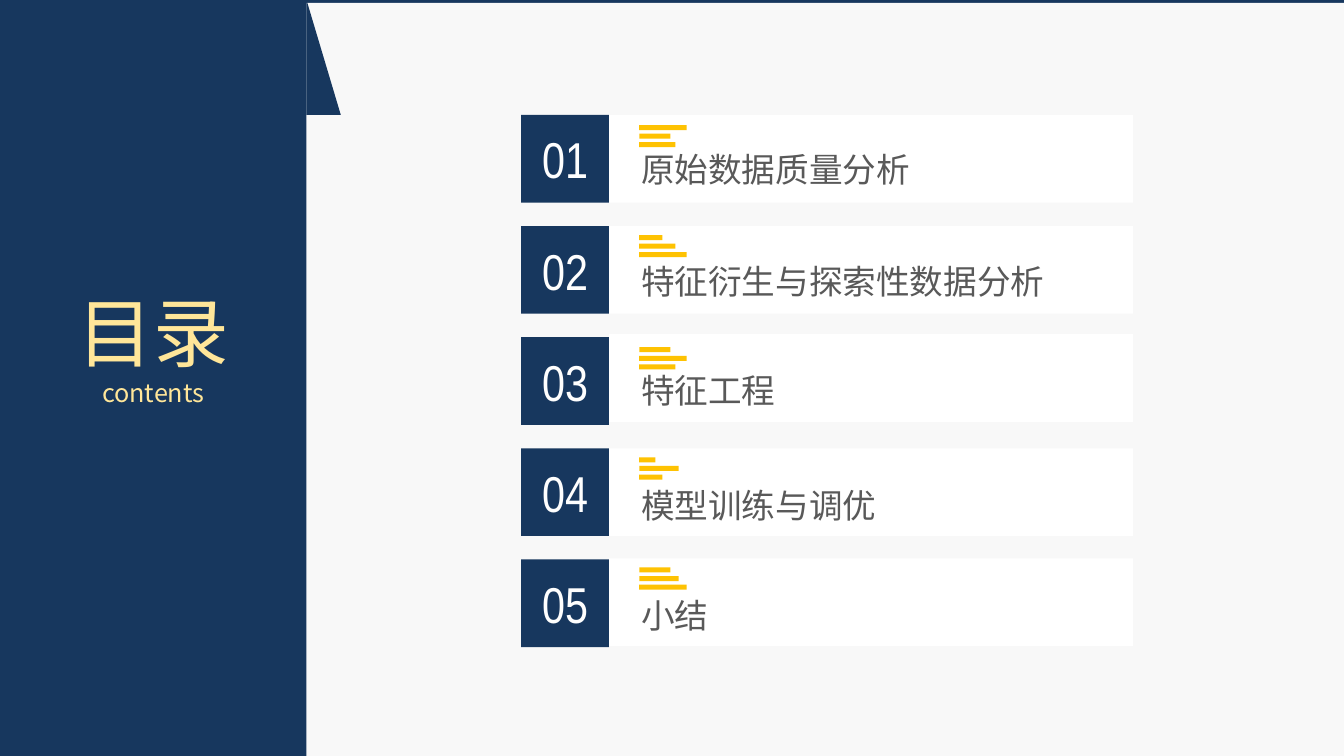
from dataclasses import dataclass

from lxml.etree import SubElement
from pptx import Presentation
from pptx.dml.color import RGBColor
from pptx.enum.shapes import MSO_SHAPE
from pptx.enum.text import MSO_ANCHOR, MSO_AUTO_SIZE, PP_ALIGN
from pptx.oxml.ns import qn
from pptx.util import Inches, Pt

NAVY = RGBColor(0x17, 0x37, 0x5E)
PALE = RGBColor(0xF8, 0xF8, 0xF8)
WHITE = RGBColor(0xFF, 0xFF, 0xFF)
OFF_WHITE = RGBColor(0xFE, 0xFE, 0xFE)
GRAY = RGBColor(0x59, 0x59, 0x59)
AMBER = RGBColor(0xFE, 0xC2, 0x02)
CREAM = RGBColor(0xFF, 0xE6, 0x99)

HAN_FONT = "Noto Sans CJK SC"
NUMBER_FORMAT = {"name": "Arial Narrow", "size": Pt(36)}
TITLE_FORMAT = {"name": HAN_FONT, "size": Pt(24)}
HEADING_FORMAT = {"name": HAN_FONT, "size": Pt(54)}
SUBHEADING_FORMAT = {"name": HAN_FONT, "size": Pt(18)}

PAGE_WIDTH, PAGE_HEIGHT = 13.33, 7.5
SIDEBAR_WIDTH = 3.04
FIRST_TOP, LAST_TOP = 1.14, 5.55
TILE_SIZE = 0.87
BAR_HEIGHT, BAR_PITCH = 0.05, 0.085


@dataclass
class Chapter:
    """Offsets are measured down from the top of the number tile."""
    title: str
    title_width: float
    bar_widths: tuple
    card_offset: float
    title_offset: float
    bars_offset: float


CHAPTERS = [
    Chapter("原始数据质量分析", 2.89, (0.47, 0.31, 0.36), 0, 0.29, 0.1),
    Chapter("特征衍生与探索性数据分析", 4.24, (0.23, 0.36, 0.47), 0, 0.3, 0.09),
    Chapter("特征工程", 1.55, (0.31, 0.47, 0.36), -0.03, 0.28, 0.1),
    Chapter("模型训练与调优", 2.56, (0.16, 0.39, 0.23), 0, 0.31, 0.09),
    Chapter("小结", 0.88, (0.31, 0.39, 0.47), -0.01, 0.3, 0.08),
]


def add_block(page, left, top, width, height, color, kind=MSO_SHAPE.RECTANGLE):
    block = page.shapes.add_shape(
        kind, Inches(left), Inches(top), Inches(width), Inches(height))
    block.shadow.inherit = False
    block.fill.solid()
    block.fill.fore_color.rgb = color
    block.line.fill.background()
    return block


def add_label(page, left, top, width, height):
    """Add an empty text box that does not wrap and return its first paragraph."""
    box = page.shapes.add_textbox(
        Inches(left), Inches(top), Inches(width), Inches(height))
    box.text_frame.word_wrap = False
    box.text_frame.auto_size = MSO_AUTO_SIZE.SHAPE_TO_FIT_TEXT
    return box.text_frame.paragraphs[0]


def write(para, text, font_format, color, align=PP_ALIGN.LEFT):
    para.alignment = align
    span = para.add_run()
    span.text = text
    for name, value in font_format.items():
        setattr(span.font, name, value)
    span.font.color.rgb = color
    east_asian = SubElement(span.font._element, qn("a:ea"))
    east_asian.set("typeface", font_format["name"])


def draw_backdrop(page):
    page.background.fill.solid()
    page.background.fill.fore_color.rgb = NAVY
    left, top = 0.19, 0.03
    add_block(page, left, top, PAGE_WIDTH - left, PAGE_HEIGHT - top, PALE)


def draw_sidebar(page, left, top, width, height):
    add_block(page, left, top, width, height, NAVY)
    add_block(page, left + width, top, 0.34, FIRST_TOP, NAVY,
              MSO_SHAPE.RIGHT_TRIANGLE)
    heading = add_label(page, left + 0.66, top + 2.79, 1.72, 1.31)
    write(heading, "目录", HEADING_FORMAT, CREAM, PP_ALIGN.CENTER)
    subheading = heading._parent.add_paragraph()
    write(subheading, "contents", SUBHEADING_FORMAT, CREAM, PP_ALIGN.CENTER)


def draw_chapter(page, left, top, number, chapter):
    add_block(page, left + TILE_SIZE, top + chapter.card_offset,
              5.2, TILE_SIZE, WHITE)

    tile = add_block(page, left, top, TILE_SIZE, TILE_SIZE, NAVY)
    tile.text_frame.vertical_anchor = MSO_ANCHOR.MIDDLE
    write(tile.text_frame.paragraphs[0], f"{number:02}", NUMBER_FORMAT,
          OFF_WHITE, PP_ALIGN.CENTER)

    title = add_label(page, left + 1.09, top + chapter.title_offset,
                      chapter.title_width, 0.5)
    write(title, chapter.title, TITLE_FORMAT, GRAY)

    for index, width in enumerate(chapter.bar_widths):
        bar_top = top + chapter.bars_offset + index * BAR_PITCH
        add_block(page, left + 1.17, bar_top, width, BAR_HEIGHT, AMBER)


def draw_chapters(page, left, top, bottom_top):
    pitch = (bottom_top - top) / (len(CHAPTERS) - 1)
    for index, chapter in enumerate(CHAPTERS):
        draw_chapter(page, left, top + index * pitch, index + 1, chapter)


def main():
    deck = Presentation()
    deck.slide_width = Inches(PAGE_WIDTH)
    deck.slide_height = Inches(PAGE_HEIGHT)
    page = deck.slides.add_slide(deck.slide_layouts[6])
    draw_backdrop(page)
    draw_sidebar(page, 0, 0, SIDEBAR_WIDTH, PAGE_HEIGHT)
    draw_chapters(page, 5.17, FIRST_TOP, LAST_TOP)
    deck.save("out.pptx")


if __name__ == "__main__":
    main()
